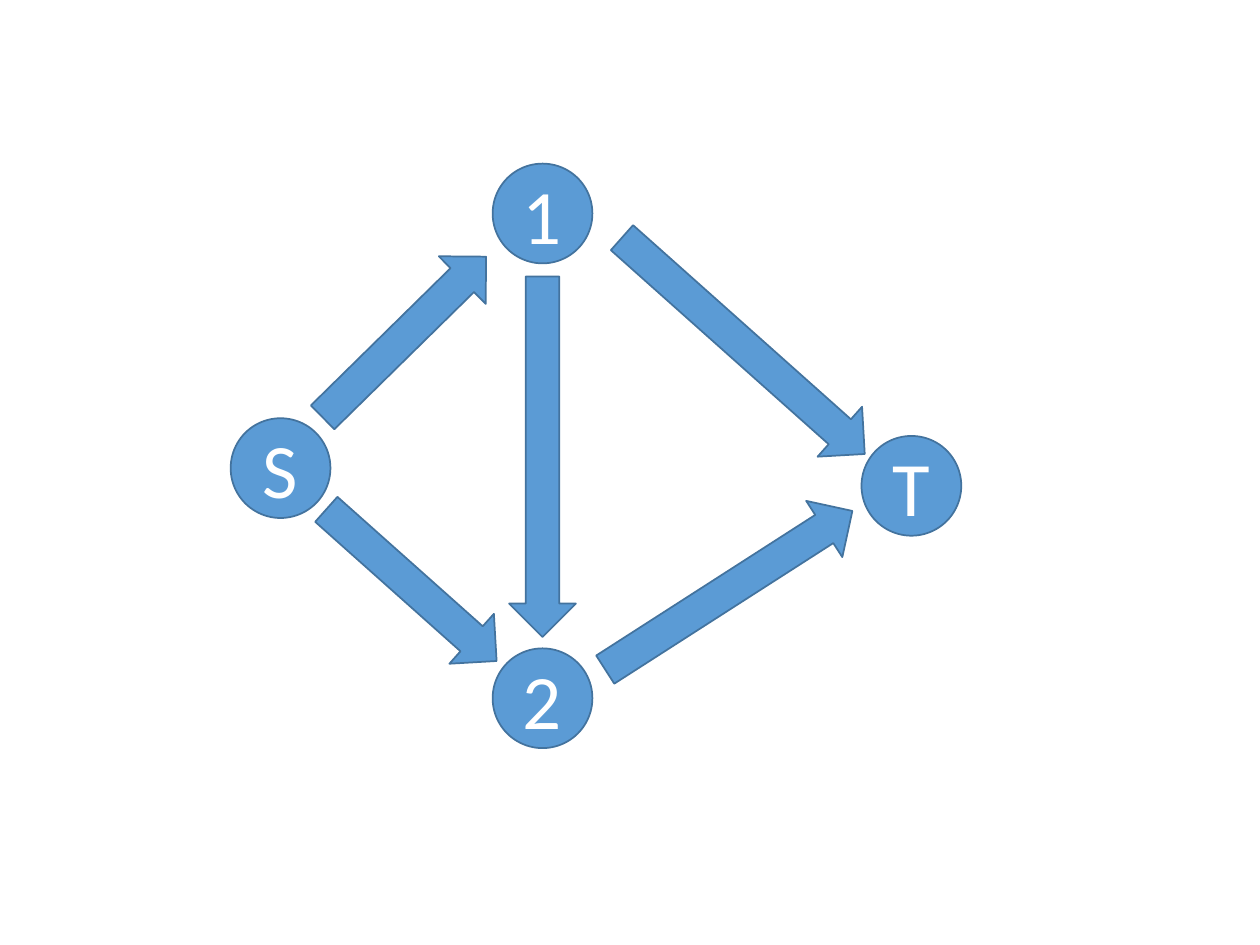
from dataclasses import dataclass

from pptx import Presentation
from pptx.dml.color import RGBColor
from pptx.enum.shapes import MSO_SHAPE
from pptx.enum.text import MSO_ANCHOR, PP_ALIGN
from pptx.util import Pt

ELLIPSE, ARROW = MSO_SHAPE.OVAL, MSO_SHAPE.RIGHT_ARROW
MIDDLE, CENTER = MSO_ANCHOR.MIDDLE, PP_ALIGN.CENTER


@dataclass(frozen=True)
class Theme:
    fill: RGBColor = RGBColor(0x5B, 0x9B, 0xD5)
    outline: RGBColor = RGBColor(0x43, 0x73, 0x9E)
    label: RGBColor = RGBColor(0xFF, 0xFF, 0xFF)
    font: str = "Calibri"
    label_size: float = 44
    outline_width: float = 1


THEME = Theme()
SLIDE_WIDTH, SLIDE_HEIGHT = 720, 540
NODE_DIAMETER = 57
ARROW_THICKNESS = 38.2

# label, center
NODES = [
    ("S", (160.3, 267.5)),
    ("1", (310, 122)),
    ("2", (310, 399)),
    ("T", (520.8, 277.6)),
]
# center, length, rotation
EDGES = [
    ((231.1, 192.6), 131, 315.5),
    ((310, 261), 206, 90),
    ((235.1, 334.4), 130.3, 41.7),
    ((424.8, 197.6), 185.8, 41.7),
    ((416.5, 337.3), 167.8, 327.3),
]


def add_centered(slide, preset, center, width, height):
    x, y = center
    shape = slide.shapes.add_shape(
        preset, Pt(x - width / 2), Pt(y - height / 2), Pt(width), Pt(height)
    )
    shape.shadow.inherit = False
    shape.fill.solid()
    shape.fill.fore_color.rgb = THEME.fill
    shape.line.color.rgb = THEME.outline
    shape.line.width = Pt(THEME.outline_width)
    return shape


def write_text(shape, text, size=THEME.label_size, color=THEME.label, align=CENTER):
    frame = shape.text_frame
    frame.vertical_anchor = MIDDLE
    paragraph = frame.paragraphs[0]
    paragraph.alignment = align
    run = paragraph.add_run()
    run.text = text
    run.font.name = THEME.font
    run.font.size = Pt(size)
    run.font.color.rgb = color


def main():
    deck = Presentation()
    deck.slide_width, deck.slide_height = Pt(SLIDE_WIDTH), Pt(SLIDE_HEIGHT)
    slide = deck.slides.add_slide(deck.slide_layouts[6])
    for label, center in NODES:
        node = add_centered(slide, ELLIPSE, center, NODE_DIAMETER, NODE_DIAMETER)
        write_text(node, label)
    for center, length, rotation in EDGES:
        edge = add_centered(slide, ARROW, center, length, ARROW_THICKNESS)
        edge.rotation = rotation
    deck.save("out.pptx")


if __name__ == "__main__":
    main()
